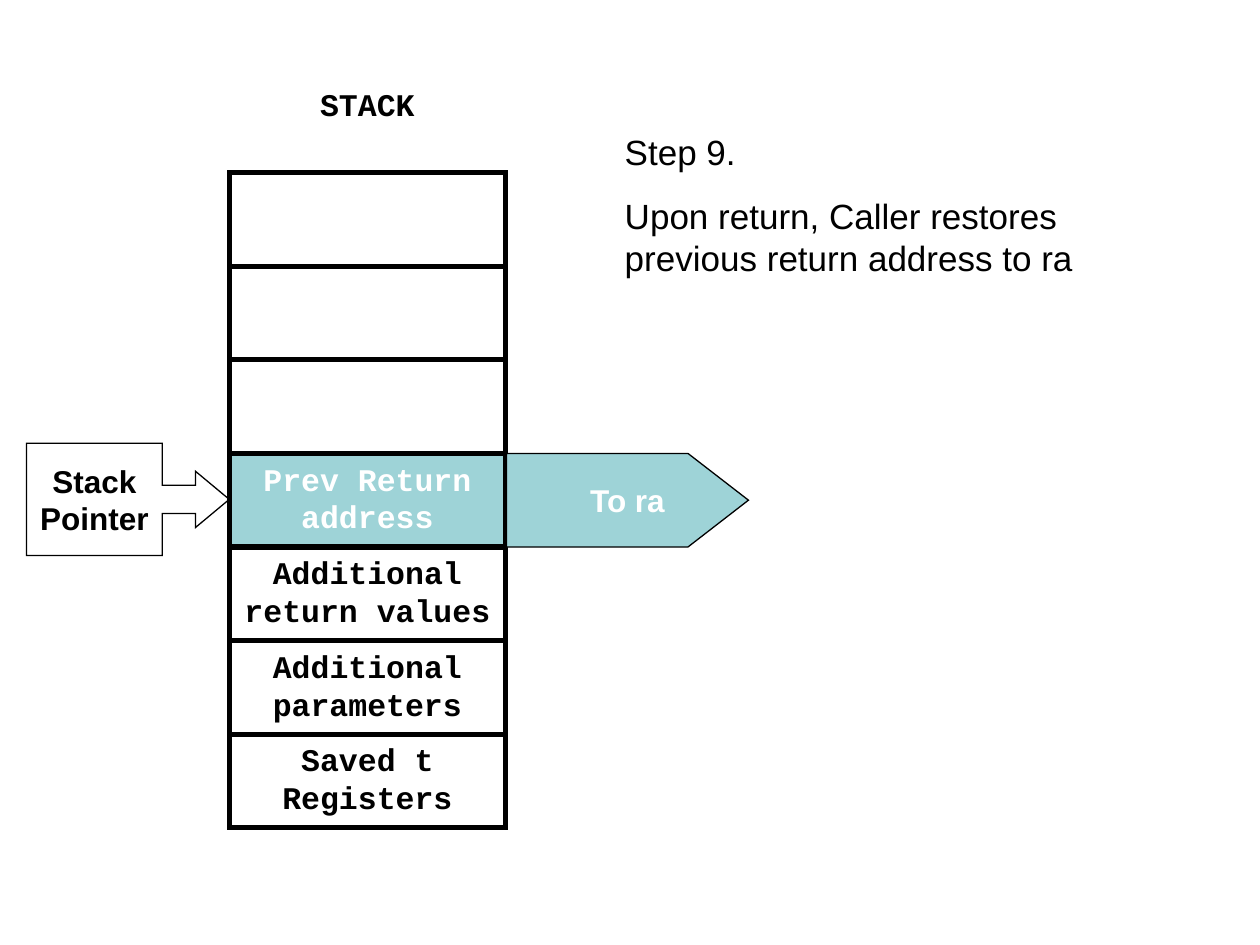
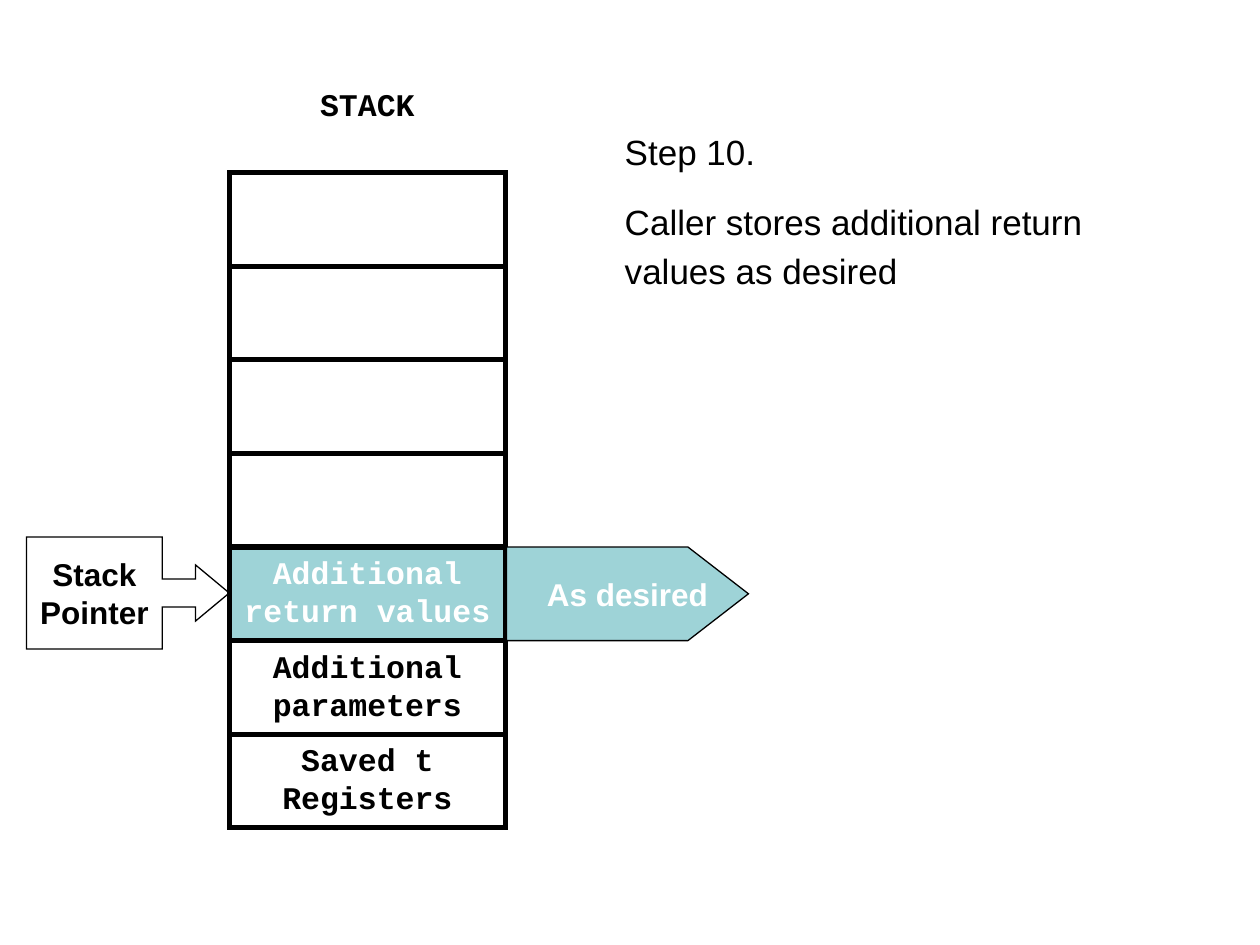
from lxml import etree
from pptx import Presentation
from pptx.dml.color import RGBColor
from pptx.enum.shapes import MSO_SHAPE
from pptx.enum.text import MSO_ANCHOR, PP_ALIGN
from pptx.oxml.ns import qn
from pptx.util import Inches, Pt

RECT = MSO_SHAPE.RECTANGLE
CALLOUT = MSO_SHAPE.RIGHT_ARROW_CALLOUT
TOP, MIDDLE = MSO_ANCHOR.TOP, MSO_ANCHOR.MIDDLE
LEFT, CENTER = PP_ALIGN.LEFT, PP_ALIGN.CENTER
BLACK = RGBColor(0x00, 0x00, 0x00)
WHITE = RGBColor(0xFF, 0xFF, 0xFF)
TEAL = RGBColor(0x9E, 0xD3, 0xD7)
SANS, MONO = "Arial", "Courier New"

STACK_X, STACK_W = 1.82, 2.19
STACK_TOP, STACK_END = 1.37, 6.57
CELLS = ["", "", "", "Prev Return address", "Additional return values",
         "Additional parameters", "Saved t Registers"]
CELL_H = (STACK_END - STACK_TOP) / len(CELLS)

STEPS = [
    (3, "To ra", "Step 9.",
     "Upon return, Caller restores previous return address to ra", 1.28, 1.0, 12.5),
    (4, "As desired", "Step 10.",
     "Caller stores additional return values as desired", 1.38, 1.17, 11.5),
]


def paint(shape, fill, width):
    shape.shadow.inherit = False
    if fill:
        shape.fill.solid()
        shape.fill.fore_color.rgb = fill
    else:
        shape.fill.background()
    shape.line.color.rgb = BLACK
    shape.line.width = Pt(width)
    line = shape._element.spPr.find(qn("a:ln"))
    etree.SubElement(line, qn("a:miter"), lim="800000")


def write(shape, lines, font, size, color, bold=True, align=CENTER,
          anchor=TOP, wrap=True):
    frame = shape.text_frame
    frame.word_wrap = wrap
    frame.vertical_anchor = anchor
    frame.margin_left = frame.margin_right = Inches(0.1)
    frame.margin_top = frame.margin_bottom = Inches(0.05)
    for i, line in enumerate(lines):
        para = frame.paragraphs[0] if i == 0 else frame.add_paragraph()
        para.alignment = align
        run = para.add_run()
        run.text = line
        run.font.name = font
        run.font.size = Pt(size)
        run.font.bold = bold
        run.font.color.rgb = color


deck = Presentation()
deck.slide_width, deck.slide_height = Inches(10), Inches(7.5)

for top, target, step, note, note_h, spacing, gap in STEPS:
    slide = deck.slides.add_slide(deck.slide_layouts[6])
    shapes = slide.shapes
    top_y = STACK_TOP + top * CELL_H

    text = shapes.add_textbox(Inches(4.86), Inches(0.99), Inches(3.98), Inches(note_h))
    write(text, [step, note], SANS, 20, BLACK, bold=False, align=LEFT)
    detail = text.text_frame.paragraphs[1]
    detail.line_spacing = spacing
    detail.space_before = Pt(gap)

    pointer = shapes.add_shape(CALLOUT, Inches(0.21), Inches(top_y - 0.08),
                               Inches(1.61), Inches(0.89))
    for i, value in enumerate([0.25, 0.25, 0.3, 0.67]):
        pointer.adjustments[i] = value
    paint(pointer, None, 0.75)
    write(pointer, ["Stack", "Pointer"], SANS, 18, BLACK, anchor=MIDDLE, wrap=False)

    head = shapes.add_textbox(Inches(STACK_X), Inches(STACK_TOP - CELL_H),
                              Inches(STACK_W), Inches(CELL_H))
    write(head, ["STACK"], MONO, 18, BLACK)

    for i, label in enumerate(CELLS):
        cell = shapes.add_shape(RECT, Inches(STACK_X), Inches(STACK_TOP + i * CELL_H),
                                Inches(STACK_W), Inches(CELL_H))
        paint(cell, TEAL if i == top else None, 3)
        if i >= top:
            write(cell, [label], MONO, 18, WHITE if i == top else BLACK)

    end_y = top_y + CELL_H
    pen = shapes.build_freeform(Inches(4.02), Inches(top_y))
    pen.add_line_segments([(Inches(x), Inches(y)) for x, y in [
        (5.46, top_y), (5.94, (top_y + end_y) / 2), (5.46, end_y), (4.02, end_y)]])
    arrow = pen.convert_to_shape()
    paint(arrow, TEAL, 0.75)
    write(arrow, [target], SANS, 18, WHITE, anchor=MIDDLE, wrap=False)

deck.save("out.pptx")
